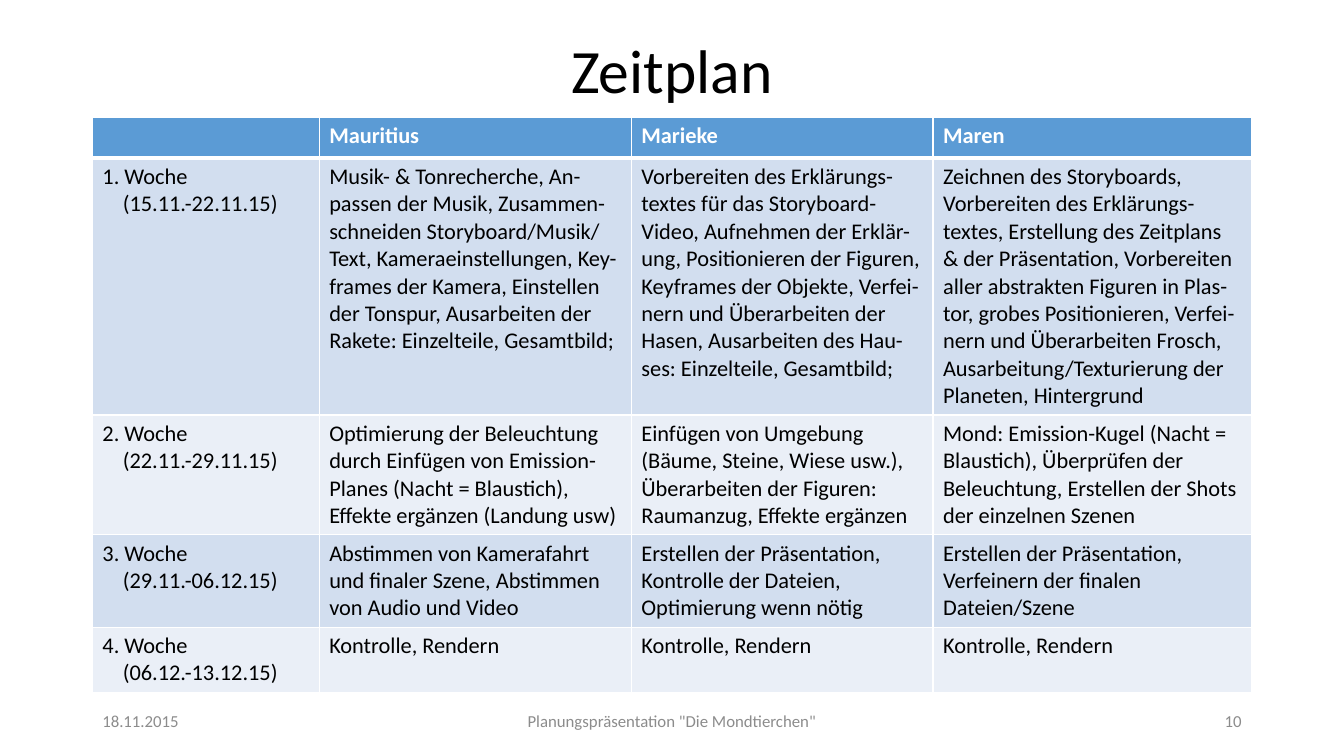
from lxml import etree
from pptx import Presentation
from pptx.dml.color import RGBColor
from pptx.enum.text import MSO_ANCHOR as ANCHOR, PP_ALIGN as ALIGN
from pptx.oxml.ns import qn
from pptx.util import Pt

COLORS = {
    "text": "000000", "white": "FFFFFF", "footer": "8C8C8C",
    "header": "5B9BD5", "odd": "D2DEEF", "even": "EAEFF7",
}
LEFT, WIDTH = 66, 828
COL_WIDTHS = [162, 223, 215.5, 227.5]
ROW_HEIGHTS = [29, 183.5, 85.5, 66, 46.5]
WEEK_INDENT = Pt(14.5)

ROWS = [
    ["", "Mauritius", "Marieke", "Maren"],
    ["1. Woche\v(15.11.-22.11.15)",
     "Musik- & Tonrecherche, An-passen der Musik, Zusammen-schneiden "
     "Storyboard/Musik/ Text, Kameraeinstellungen, Key-frames der Kamera, "
     "Einstellen der Tonspur, Ausarbeiten der Rakete: Einzelteile, Gesamtbild;",
     "Vorbereiten des Erklärungs-textes für das Storyboard-Video, Aufnehmen "
     "der Erklär-ung, Positionieren der Figuren, Keyframes der Objekte, "
     "Verfei-nern und Überarbeiten der Hasen, Ausarbeiten des Hau-ses: "
     "Einzelteile, Gesamtbild;",
     "Zeichnen des Storyboards, Vorbereiten des Erklärungs-textes, Erstellung "
     "des Zeitplans & der Präsentation, Vorbereiten aller abstrakten Figuren "
     "in Plas-tor, grobes Positionieren, Verfei-nern und Überarbeiten Frosch, "
     "Ausarbeitung/Texturierung der Planeten, Hintergrund"],
    ["2. Woche\v(22.11.-29.11.15)",
     "Optimierung der Beleuchtung durch Einfügen von Emission-Planes "
     "(Nacht = Blaustich), Effekte ergänzen (Landung usw)",
     "Einfügen von Umgebung (Bäume, Steine, Wiese usw.), Überarbeiten der "
     "Figuren: Raumanzug, Effekte ergänzen",
     "Mond: Emission-Kugel (Nacht = Blaustich), Überprüfen der Beleuchtung, "
     "Erstellen der Shots der einzelnen Szenen"],
    ["3. Woche\v(29.11.-06.12.15)",
     "Abstimmen von Kamerafahrt und finaler Szene, Abstimmen von Audio und Video",
     "Erstellen der Präsentation, Kontrolle der Dateien, Optimierung wenn nötig",
     "Erstellen der Präsentation, Verfeinern der finalen Dateien/Szene"],
    ["4. Woche\v(06.12.-13.12.15)"] + ["Kontrolle, Rendern"] * 3,
]
FOOTERS = [
    (66, 216, "18.11.2015", ALIGN.LEFT),
    (318, 324, 'Planungspräsentation "Die Mondtierchen"', ALIGN.CENTER),
    (678, 216, "10", ALIGN.RIGHT),
]


def style(p, size, color, bold=False):
    p.font.name = "Calibri"
    p.font.size = Pt(size)
    p.font.bold = bold
    p.font.color.rgb = RGBColor.from_string(COLORS[color])


def add_border(cell, side, width):
    """Draw a white line on one side (L, R, T or B); call before setting the fill."""
    ln = etree.SubElement(cell._tc.get_or_add_tcPr(), qn(f"a:ln{side}"), w=str(Pt(width)))
    fill = etree.SubElement(ln, qn("a:solidFill"))
    etree.SubElement(fill, qn("a:srgbClr"), val=COLORS["white"])


prs = Presentation()
prs.slide_width, prs.slide_height = Pt(960), Pt(540)
s = prs.slides.add_slide(prs.slide_layouts[5])

# Title
title = s.shapes.title
title.left, title.top, title.width, title.height = Pt(LEFT), Pt(0), Pt(WIDTH), Pt(104.4)
tf = title.text_frame
tf.text = "Zeitplan"
tf.vertical_anchor = ANCHOR.MIDDLE
p = tf.paragraphs[0]
p.alignment = ALIGN.CENTER
p.line_spacing = 0.9
style(p, 44, "text")

# Schedule
table = s.shapes.add_table(len(ROWS), len(COL_WIDTHS), Pt(LEFT), Pt(84),
                           Pt(WIDTH), Pt(sum(ROW_HEIGHTS))).table
for column, width in zip(table.columns, COL_WIDTHS):
    column.width = Pt(width)
for row, height in zip(table.rows, ROW_HEIGHTS):
    row.height = Pt(height)
for i, texts in enumerate(ROWS):
    is_header = i == 0
    fill = "header" if is_header else "odd" if i % 2 else "even"
    for j, text in enumerate(texts):
        cell = table.cell(i, j)
        for side in "LRTB":
            thick = (is_header and side == "B") or (i == 1 and side == "T")
            add_border(cell, side, 3 if thick else 1)
        cell.fill.solid()
        cell.fill.fore_color.rgb = RGBColor.from_string(COLORS[fill])
        cell.text_frame.text = text
        p = cell.text_frame.paragraphs[0]
        style(p, 16, "white" if is_header else "text", bold=is_header)
        if j == 0 and not is_header:
            pPr = p._p.get_or_add_pPr()
            pPr.set("marL", str(WEEK_INDENT))
            pPr.set("indent", str(-WEEK_INDENT))

# Footer
for left, width, text, align in FOOTERS:
    tf = s.shapes.add_textbox(Pt(left), Pt(500.5), Pt(width), Pt(28.75)).text_frame
    tf.word_wrap = True
    tf.vertical_anchor = ANCHOR.MIDDLE
    tf.text = text
    p = tf.paragraphs[0]
    p.alignment = align
    style(p, 12, "footer")

prs.save("out.pptx")
